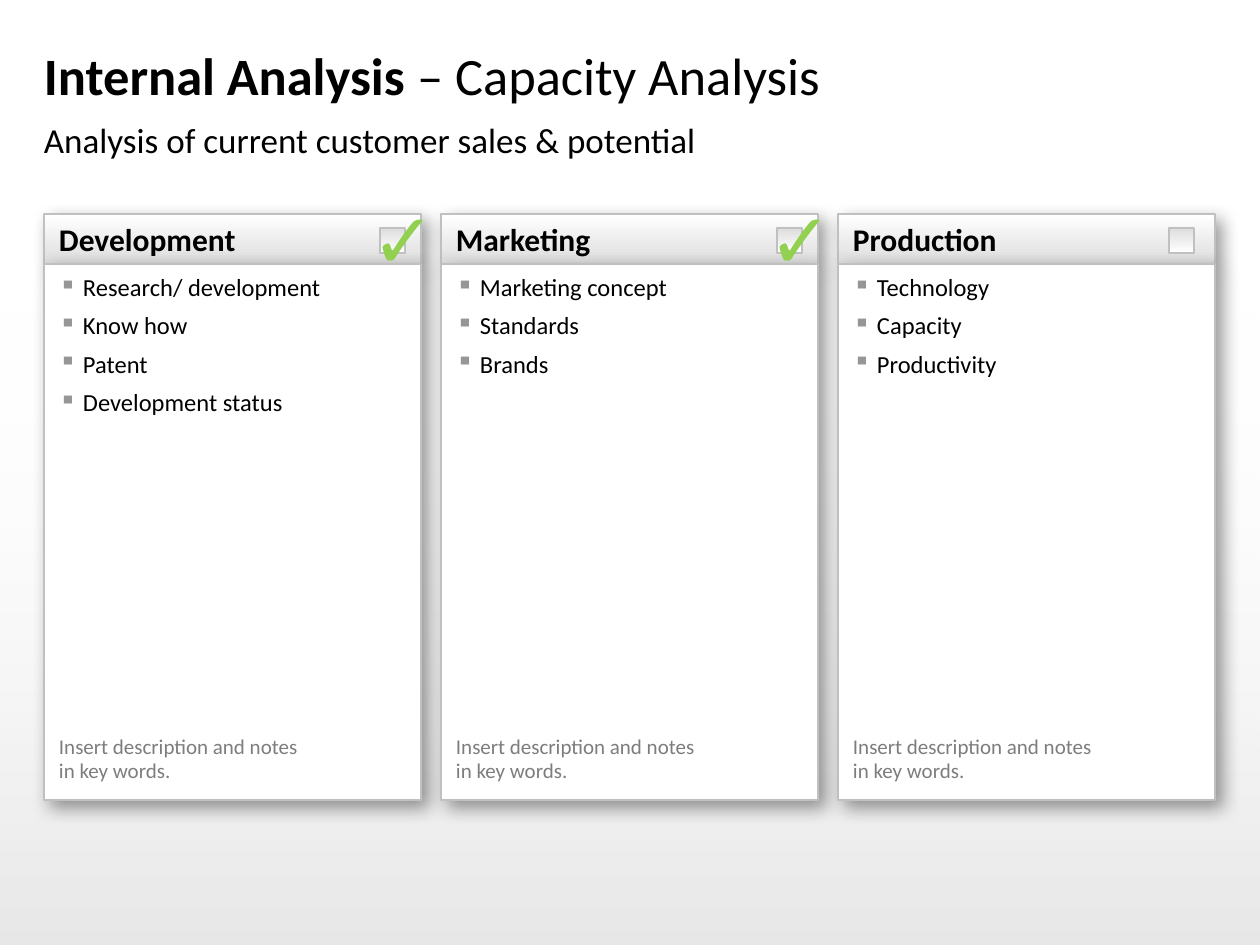
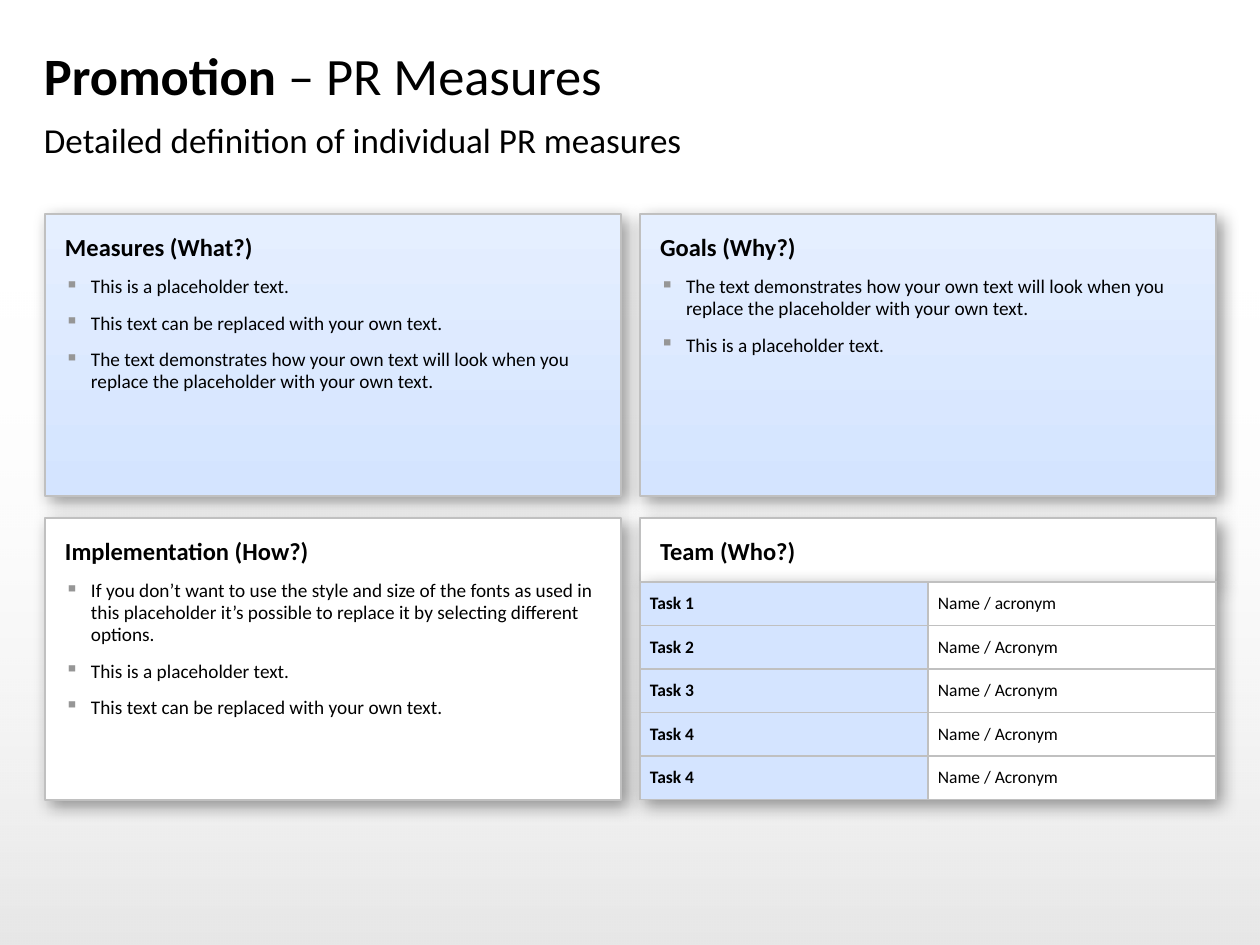
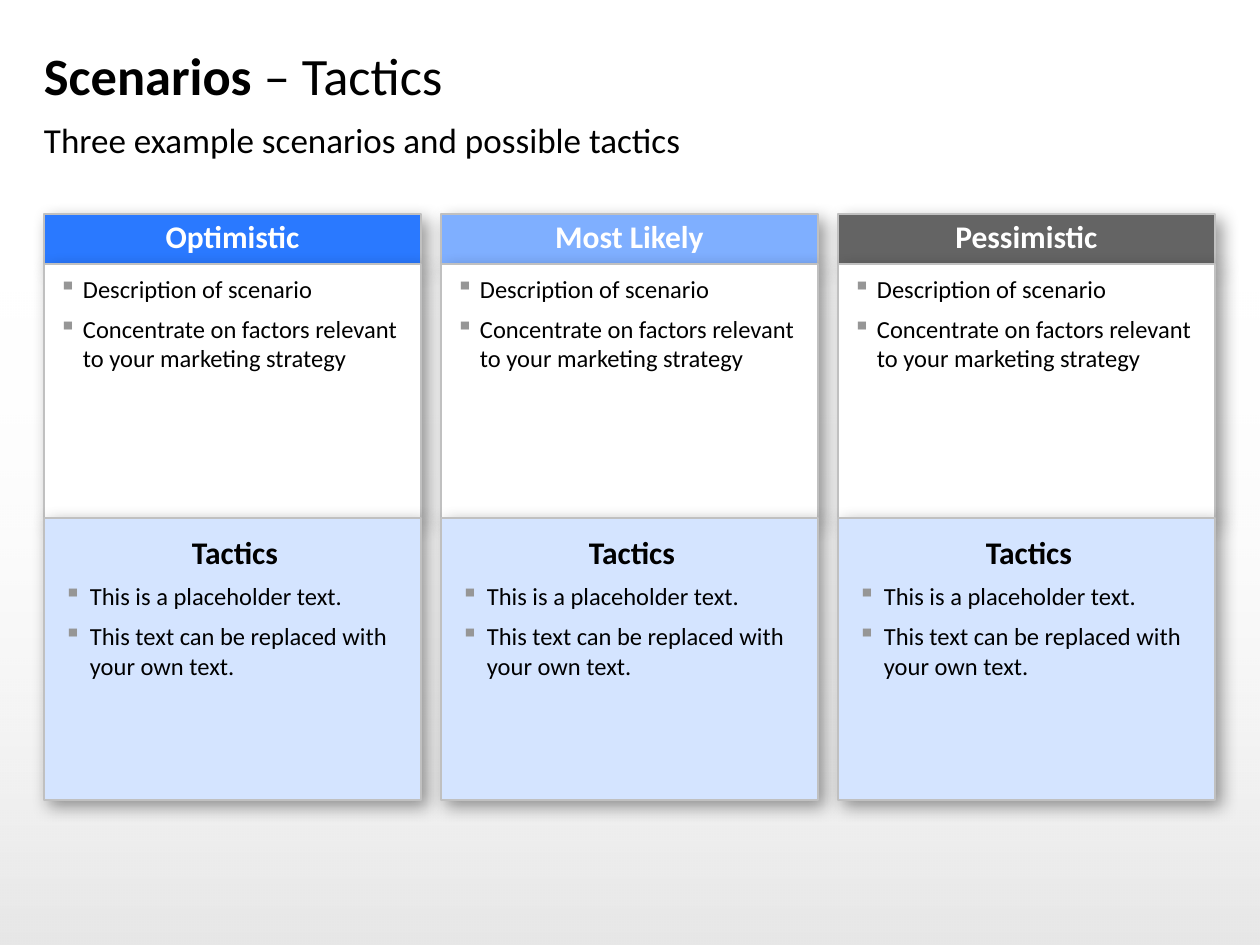
from lxml import etree
from pptx import Presentation
from pptx import util as u
from pptx.dml.color import RGBColor
from pptx.enum import shapes, text
from pptx.oxml.ns import qn

SCALE = 914400 / 126
FONT = "Calibri"
BLACK = RGBColor(0x00, 0x00, 0x00)
WHITE = RGBColor(0xFF, 0xFF, 0xFF)
SILVER = RGBColor(0xC0, 0xC0, 0xC0)
LIGHT_GRAY = RGBColor(0xDD, 0xDD, 0xDD)
BULLET_GRAY = RGBColor(0x96, 0x96, 0x96)
NOTE_GRAY = RGBColor(0x7D, 0x7D, 0x7D)
DARK_GRAY = RGBColor(0x64, 0x64, 0x64)
BLUE = RGBColor(0x2A, 0x79, 0xFF)
SKY = RGBColor(0x7F, 0xAF, 0xFF)
PALE_BLUE = RGBColor(0xD4, 0xE4, 0xFF)
PALEST_BLUE = RGBColor(0xE5, 0xEF, 0xFF)
GREEN = RGBColor(0x92, 0xD0, 0x50)

LEFT, TOP, BOTTOM = 44, 214, 800
CONTENT_WIDTH = 1171
COLUMN_WIDTH, COLUMN_STEP = 377, 397
HEADER_HEIGHT = 50
BODY_TOP = TOP + HEADER_HEIGHT
MIDDLE = 518
CENTER = text.PP_ALIGN.CENTER
PLACEHOLDER = "This is a placeholder text."
REPLACEABLE = "This text can be replaced with your own text."
DEMONSTRATION = ("The text demonstrates how your own text will look when you "
                 "replace the placeholder with your own text.")


def px(length):
    return u.Emu(round(length * SCALE))


def add_child(parent, tag, **attributes):
    child = etree.SubElement(parent, qn(tag))
    for name, value in attributes.items():
        child.set(name, str(value))
    return child


def add_shadow(effects, distance):
    shadow = add_child(effects, "a:outerShdw", blurRad=u.Pt(10), dist=u.Pt(distance),
                       dir=45 * 60000, algn="tl", rotWithShape=0)
    color = add_child(shadow, "a:srgbClr", val=BLACK)
    add_child(color, "a:alpha", val=40000)


def paint(shape, fill):
    if isinstance(fill, RGBColor):
        shape.fill.solid()
        shape.fill.fore_color.rgb = fill
        return
    shape.fill.gradient()
    shape.fill.gradient_angle = 270
    for stop, color in zip(shape.fill.gradient_stops, fill):
        stop.color.rgb = color


def set_frame(frame, insets=(0, 0, 0, 0), middle=False, wrap=True):
    frame.word_wrap = wrap
    frame.margin_left, frame.margin_top, frame.margin_right, frame.margin_bottom = map(px, insets)
    frame.vertical_anchor = text.MSO_ANCHOR.MIDDLE if middle else text.MSO_ANCHOR.TOP
    return frame


def add_panel(slide, left, top, width, height, fill, shadow=0, border=True, **frame_format):
    shape = slide.shapes.add_shape(shapes.MSO_SHAPE.RECTANGLE, *map(px, (left, top, width, height)))
    paint(shape, fill)
    if border:
        shape.line.color.rgb = SILVER
        shape.line.width = u.Pt(1)
    else:
        shape.line.fill.background()
    shape.shadow.inherit = False
    if shadow:
        add_shadow(shape._element.spPr.find(qn("a:effectLst")), shadow)
    set_frame(shape.text_frame, **frame_format)
    return shape


def add_label(slide, left, top, width, height, **frame_format):
    box = slide.shapes.add_textbox(*map(px, (left, top, width, height)))
    return set_frame(box.text_frame, **frame_format)


def write(frame, content, size=14, color=BLACK, bold=False, align=text.PP_ALIGN.LEFT,
          indent=0, spacing=None, before=None, after=None, plain_tail=""):
    paragraph = frame.paragraphs[0]
    if paragraph.runs:
        paragraph = frame.add_paragraph()
        if before is not None:
            paragraph.space_before = u.Pt(before)
    if indent:
        properties = paragraph._p.get_or_add_pPr()
        properties.set("marL", str(px(indent)))
        properties.set("indent", str(-px(indent)))
        add_child(add_child(properties, "a:buClr"), "a:srgbClr", val=BULLET_GRAY)
        add_child(properties, "a:buChar", char="▪")
    paragraph.alignment = align
    if spacing is not None:
        paragraph.line_spacing = spacing
    if after is not None:
        paragraph.space_after = u.Pt(after)
    paragraph.font.size = u.Pt(size)
    for number, line in enumerate(content.split("\n")):
        if number:
            paragraph.add_line_break()
        paragraph.add_run().text = line
    if plain_tail:
        paragraph.add_run().text = plain_tail
    for run in paragraph.runs:
        run.font.name = FONT
        run.font.size = u.Pt(size)
        run.font.color.rgb = color
        run.font.bold = bold
    if plain_tail:
        paragraph.runs[-1].font.bold = False


def write_bullets(frame, items, **text_format):
    for item in items:
        write(frame, item, after=6, **text_format)


def start_slide(presentation, topic, detail, subtitle):
    slide = presentation.slides.add_slide(presentation.slide_layouts[6])
    backdrop = add_panel(slide, 0, 279, 1260, 666, (WHITE, BLACK), border=False)
    colors = backdrop._element.spPr.iter(qn("a:srgbClr"))
    for color, opacity in zip(colors, (0, 10000)):
        add_child(color, "a:alpha", val=opacity)
    title = add_label(slide, LEFT, 33, CONTENT_WIDTH, 84, middle=True)
    write(title, topic + " ", size=30, bold=True, plain_tail="– " + detail)
    write(add_label(slide, LEFT, 118, CONTENT_WIDTH, 47), subtitle, size=20)
    return slide


def add_header(slide, left, caption, fill, insets, **text_format):
    header = add_panel(slide, left, TOP, COLUMN_WIDTH, HEADER_HEIGHT, fill, shadow=5,
                       insets=insets, middle=True)
    write(header.text_frame, caption, size=18, bold=True, **text_format)


def add_body(slide, left, bottom, items, **text_format):
    body = add_panel(slide, left, BODY_TOP, COLUMN_WIDTH, bottom - BODY_TOP, WHITE, shadow=5,
                     insets=(15, 10, 15, 10))
    write_bullets(body.text_frame, items, indent=24, **text_format)


def add_checklist(slide, left, caption, items, checked):
    add_header(slide, left, caption, (WHITE, LIGHT_GRAY), (15, 0, 0, 0))
    add_body(slide, left, BOTTOM, items, spacing=0.95)
    note = add_label(slide, left + 15, 735, COLUMN_WIDTH - 30, 50)
    write(note, "Insert description and notes\nin key words.", size=12, color=NOTE_GRAY, spacing=0.95)
    add_panel(slide, left + (336 if checked else 331), 228, 25, 25, (LIGHT_GRAY, WHITE))
    if checked:
        tick = add_label(slide, left + 328, 192, 67, 93, wrap=False)
        tick.auto_size = text.MSO_AUTO_SIZE.SHAPE_TO_FIT_TEXT
        write(tick, "✓", size=44, color=GREEN, bold=True)


def add_quadrant(slide, left, top, height, fill, caption, items=()):
    panel = add_panel(slide, left, top, 576, height, fill, shadow=4, insets=(20, 20, 15, 0))
    write(panel.text_frame, caption, bold=True, spacing=0.95, after=6)
    write_bullets(panel.text_frame, items, size=11, indent=26, spacing=0.95, before=2.2)


def add_cell_borders(cell):
    properties = cell._tc.get_or_add_tcPr()
    for position, side in enumerate(("a:lnL", "a:lnR", "a:lnT", "a:lnB")):
        line = add_child(properties, side, w=u.Pt(1))
        add_child(add_child(line, "a:solidFill"), "a:srgbClr", val=SILVER)
        properties.insert(position, line)


def add_task_table(slide, left, top, width, height, rows):
    table = slide.shapes.add_table(len(rows), 2, *map(px, (left, top, width, height))).table
    table.first_row = table.horz_banding = False
    properties = table._tbl.tblPr
    effects = add_child(properties, "a:effectLst")
    properties.insert(0, effects)
    add_shadow(effects, 4)
    for row, values in zip(table.rows, rows):
        for column, (cell, value) in enumerate(zip(row.cells, values)):
            paint(cell, WHITE if column else PALE_BLUE)
            add_cell_borders(cell)
            cell.vertical_anchor = text.MSO_ANCHOR.MIDDLE
            cell.margin_left = cell.margin_right = px(10)
            cell.margin_top = cell.margin_bottom = px(5)
            write(cell.text_frame, value, size=10, bold=column == 0)


def add_scenario(slide, left, caption, fill):
    add_header(slide, left, caption, fill, (15, 10, 15, 10), color=WHITE, align=CENTER, spacing=0.85)
    add_body(slide, left, MIDDLE, ["Description of scenario",
                                   "Concentrate on factors relevant to your marketing strategy"])
    tactics = add_panel(slide, left, MIDDLE, COLUMN_WIDTH, BOTTOM - MIDDLE, PALE_BLUE, shadow=4,
                        insets=(20, 15, 15, 0))
    write(tactics.text_frame, "Tactics", size=18, bold=True, align=CENTER, after=6)
    write_bullets(tactics.text_frame, [PLACEHOLDER, REPLACEABLE], indent=26)


def build_capacity(presentation):
    slide = start_slide(presentation, "Internal Analysis", "Capacity Analysis",
                        "Analysis of current customer sales & potential")
    departments = [
        ("Development", ["Research/ development", "Know how", "Patent", "Development status"], True),
        ("Marketing", ["Marketing concept", "Standards", "Brands"], True),
        ("Production", ["Technology", "Capacity", "Productivity"], False),
    ]
    for number, department in enumerate(departments):
        add_checklist(slide, LEFT + number * COLUMN_STEP, *department)


def build_measures(presentation):
    slide = start_slide(presentation, "Promotion", "PR Measures",
                        "Detailed definition of individual PR measures")
    left, right, height, team_height = 45, 640, BOTTOM - MIDDLE, 64
    blues = (PALEST_BLUE, PALE_BLUE)
    add_quadrant(slide, left, TOP, height, blues, "Measures (What?)",
                 [PLACEHOLDER, REPLACEABLE, DEMONSTRATION])
    add_quadrant(slide, left, MIDDLE, height, WHITE, "Implementation (How?)",
                 ["If you don’t want to use the style and size of the fonts as used in this "
                  "placeholder it’s possible to replace it by selecting different options.",
                  PLACEHOLDER, REPLACEABLE])
    add_quadrant(slide, right, MIDDLE, team_height, WHITE, "Team (Who?)")
    add_quadrant(slide, right, TOP, height, blues, "Goals (Why?)", [DEMONSTRATION, PLACEHOLDER])
    add_task_table(slide, right, MIDDLE + team_height, 576, height - team_height, [
        ("Task 1", "Name / acronym"),
        ("Task 2", "Name / Acronym"),
        ("Task 3", "Name / Acronym"),
        ("Task 4", "Name / Acronym"),
        ("Task 4", "Name / Acronym"),
    ])


def build_scenarios(presentation):
    slide = start_slide(presentation, "Scenarios", "Tactics",
                        "Three example scenarios and possible tactics")
    scenarios = [("Optimistic", BLUE), ("Most Likely", SKY), ("Pessimistic", DARK_GRAY)]
    for number, scenario in enumerate(scenarios):
        add_scenario(slide, LEFT + number * COLUMN_STEP, *scenario)


def main():
    presentation = Presentation()
    presentation.slide_width, presentation.slide_height = px(1260), px(945)
    build_capacity(presentation)
    build_measures(presentation)
    build_scenarios(presentation)
    presentation.save("out.pptx")


if __name__ == "__main__":
    main()
